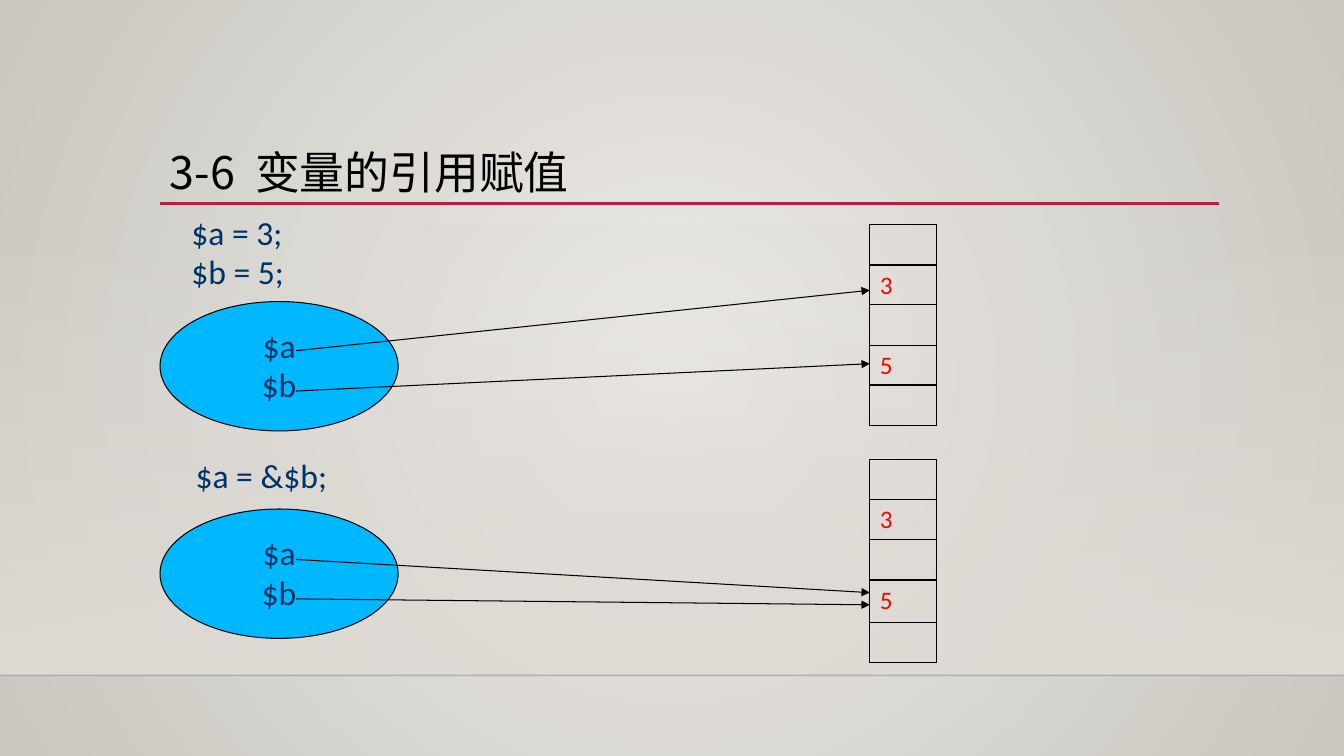
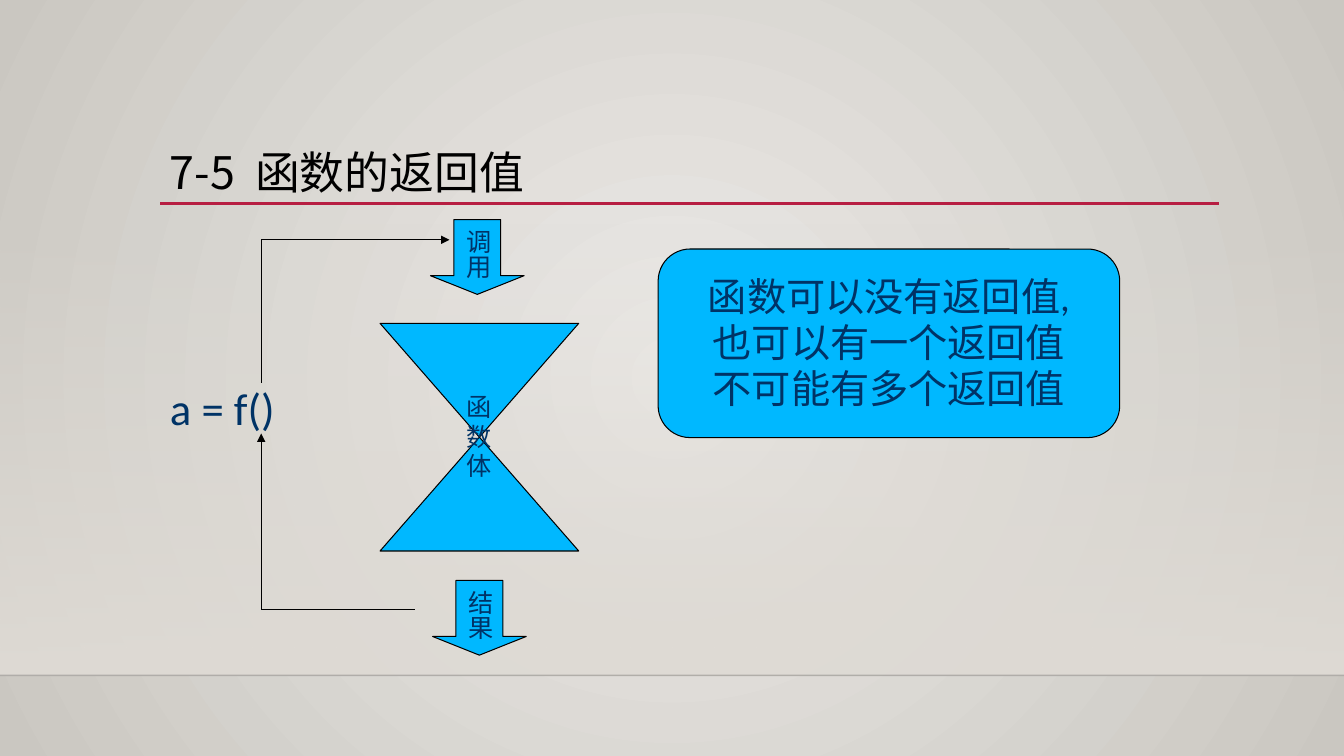
from pptx import Presentation
from pptx.dml.color import RGBColor
from pptx.enum.shapes import MSO_CONNECTOR, MSO_SHAPE as SHAPE
from pptx.enum.text import MSO_ANCHOR as ANCHOR, PP_ALIGN as ALIGN
from pptx.oxml import parse_xml
from pptx.oxml.ns import nsdecls, qn
from pptx.oxml.xmlchemy import OxmlElement
from pptx.util import Inches, Pt

rgb = RGBColor.from_string
BLACK, NAVY, SKY, RED, CRIMSON = "000000", "003366", "00B8FF", "FF0000", "B71E42"
SAND = "DFDBD5"
LATIN, CJK = "Calibri", "Noto Sans CJK SC"

prs = Presentation()
prs.slide_width, prs.slide_height = Inches(40 / 3), Inches(7.5)
COLS, ROWS = 160, 90                # square cells cover the slide
CELL = prs.slide_width // COLS
LEFT, RULE_Y, BASE_Y = 19.05, 24.22, 80.4
CONTENT_W = 126.1


def add_box(s, kind, cells, lines=(), size=24, font=LATIN, color=NAVY, spacing=0.98):
    """Add a preset shape, or a text box if kind is None; a line is a tuple of runs."""
    place = [round(v * CELL) for v in cells]
    if kind is None:
        sp = s.shapes.add_textbox(*place)
    else:
        sp = s.shapes.add_shape(kind, *place)
        sp.shadow.inherit = False
        sp.fill.solid()
        sp.fill.fore_color.rgb = rgb(SKY)
        sp.line.color.rgb = rgb(BLACK)
        sp.line.width = Pt(0.75)
    tf = sp.text_frame
    tf.word_wrap = kind is None
    tf.vertical_anchor = ANCHOR.TOP if kind is None else ANCHOR.MIDDLE
    for i, line in enumerate(lines):
        p = tf.add_paragraph() if i else tf.paragraphs[0]
        p.alignment = ALIGN.LEFT if kind is None else ALIGN.CENTER
        p.line_spacing = spacing
        for text in line:
            r = p.add_run()
            r.text = text
            r.font.size, r.font.name = Pt(size), font
            r.font.color.rgb = rgb(color)
            ea = OxmlElement("a:ea")
            ea.set("typeface", CJK)
            r._r.get_or_add_rPr().append(ea)
    return sp


def add_line(s, x1, y1, x2, y2, color=BLACK, width=0.75, arrow=False):
    ends = [round(v * CELL) for v in (x1, y1, x2, y2)]
    line = s.shapes.add_connector(MSO_CONNECTOR.STRAIGHT, *ends)
    line.line.color.rgb = rgb(color)
    line.line.width = Pt(width)
    if arrow:
        tail = OxmlElement("a:tailEnd")
        tail.set("type", "triangle")
        line.line._get_or_add_ln().append(tail)
    line._element.spPr.append(OxmlElement("a:effectLst"))
    return line


# Shared background: a round gradient on the master
fill = prs.slide_master.background.fill
fill.gradient()
for stop, color in zip(fill.gradient_stops, ("ECEAE7", "CAC7C1")):
    stop.color.rgb = rgb(color)
grad = prs.slide_master._element.find(".//" + qn("a:gradFill"))
grad.replace(grad.find(qn("a:lin")), parse_xml(
    f'<a:path {nsdecls("a")} path="circle">'
    '<a:fillToRect l="50000" t="50000" r="50000" b="50000"/></a:path>'))

# Shared frame: fading band, floor line, title and rule
slides = []
for number, heading in (("3-6", "变量的引用赋值"), ("7-5", "函数的返回值")):
    s = prs.slides.add_slide(prs.slide_layouts[6])
    slides.append(s)
    band = add_box(s, SHAPE.RECTANGLE, (0, 26.5, COLS, BASE_Y - 26.5))
    band.line.fill.background()
    band.fill.gradient()
    band.fill.gradient_angle = 270
    for stop in band.fill.gradient_stops:
        stop.color.rgb = rgb(SAND)
    floor = add_line(s, 0, BASE_Y, COLS, BASE_Y, "000001", 1)
    for sp, opacity in ((band, "0"), (floor, "20000")):
        alpha = OxmlElement("a:alpha")
        alpha.set("val", opacity)
        sp._element.spPr.find(".//" + qn("a:srgbClr")).append(alpha)
    add_line(s, LEFT, RULE_Y, LEFT + CONTENT_W, RULE_Y, CRIMSON, 2.5)
    title = add_box(s, None, (LEFT, 17.25, CONTENT_W, 7.05),
                    [(number, " ", heading)], 32, CJK, BLACK, 0.9)
    title.text_frame.vertical_anchor = ANCHOR.BOTTOM
    gap = title.text_frame.paragraphs[0].runs[1]
    gap._r.get_or_add_rPr().set("spc", "700")

# Slide 1: variables pointing at memory, before and after the reference
s = slides[0]
MEMORY_X, MEMORY_W, ROW_H = 103.55, 7.9, 4.7
VALUES = ("", "3", "", "5", "")
states = (
    ((21.6, 24.85, 29.75, 10.55), [("$a = 3;",), ("$b = 5;",)], 35.9, 26.75,
     ((41.75, 34.55), (46.55, 43.3)), ROW_H),
    ((22.1, 53.75, 22.2, 5.9), [("$a = &$b;",)], 60.6, 54.7,
     ((66.6, 70.55), (71.3, 72)), 5.05),
)
for code_at, code, oval_y, memory_y, arrows, target_h in states:
    add_box(s, None, code_at, code)
    add_box(s, SHAPE.OVAL, (LEFT, oval_y, 28.35, 15.4), [("$a",), ("$b",)])
    for y1, y2 in arrows:
        add_line(s, 35.25, y1, MEMORY_X, y2, arrow=True)
    heights = [target_h if v == "5" else ROW_H for v in VALUES]
    place = [round(v * CELL) for v in (MEMORY_X, memory_y, MEMORY_W, sum(heights))]
    tbl = s.shapes.add_table(len(VALUES), 1, *place).table
    tbl.first_row = tbl.horz_banding = False
    for i, value in enumerate(VALUES):
        tbl.rows[i].height = round(heights[i] * CELL)
        cell = tbl.cell(i, 0)
        p = cell.text_frame.paragraphs[0]
        p.line_spacing = 0.98
        if value:
            r = p.add_run()
            r.text = value
            r.font.size, r.font.name = Pt(18), LATIN
            r.font.color.rgb = rgb(RED)
        tcPr = cell._tc.get_or_add_tcPr()
        for side in ("lnL", "lnR", "lnT", "lnB"):
            tcPr.append(parse_xml(
                f'<a:{side} {nsdecls("a")} w="{Pt(1)}"><a:solidFill>'
                f'<a:srgbClr val="{BLACK}"/></a:solidFill></a:{side}>'))
        cell.fill.background()

# Slide 2: call, function body and result
s = slides[1]
note = add_box(s, SHAPE.ROUNDED_RECTANGLE, (78.35, 29.65, 54.95, 22.45),
               [("函数可以没有返回值,",), ("也可以有一个返回值",), ("不可能有多个返回值",)], 28)
note.adjustments[0] = 0.17
add_box(s, SHAPE.FLOWCHART_COLLATE, (45.25, 38.5, 23.65, 27.1),
        [("函",), ("数",), ("体",)], 18)
for x, y, label in ((51.25, 26.15, "调用"), (51.5, 69.1, "结果")):
    step = add_box(s, SHAPE.DOWN_ARROW, (x, y, 11.15, 8.9), [(label,)], 18)
    step.adjustments[0], step.adjustments[1] = 0.5, 0.25
    step.text_frame._txBody.bodyPr.set("vert", "eaVert")
add_box(s, None, (LEFT, 45, 26.3, 7.45), [("a = f()",)], 32)

# Path from the expression to the call, and from the result back
PATH_X, CALL_Y, RESULT_Y = 31.1, 28.55, 72.6
add_line(s, PATH_X, CALL_Y, PATH_X, 45.6)
add_line(s, PATH_X, CALL_Y, 53.5, CALL_Y, arrow=True)
add_line(s, 49.4, RESULT_Y, PATH_X, RESULT_Y)
add_line(s, PATH_X, RESULT_Y, PATH_X, 51.6, arrow=True)

prs.save("out.pptx")
